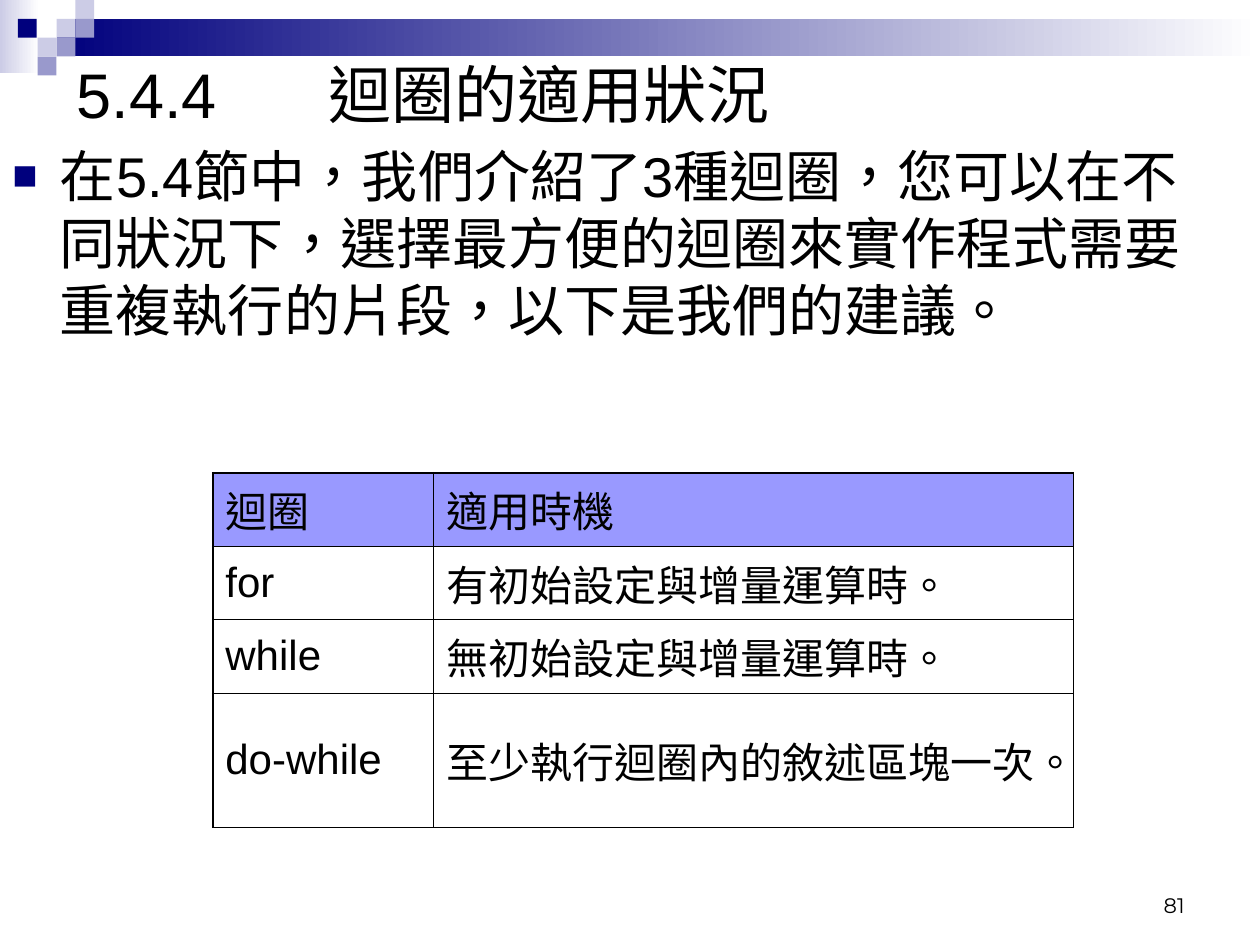
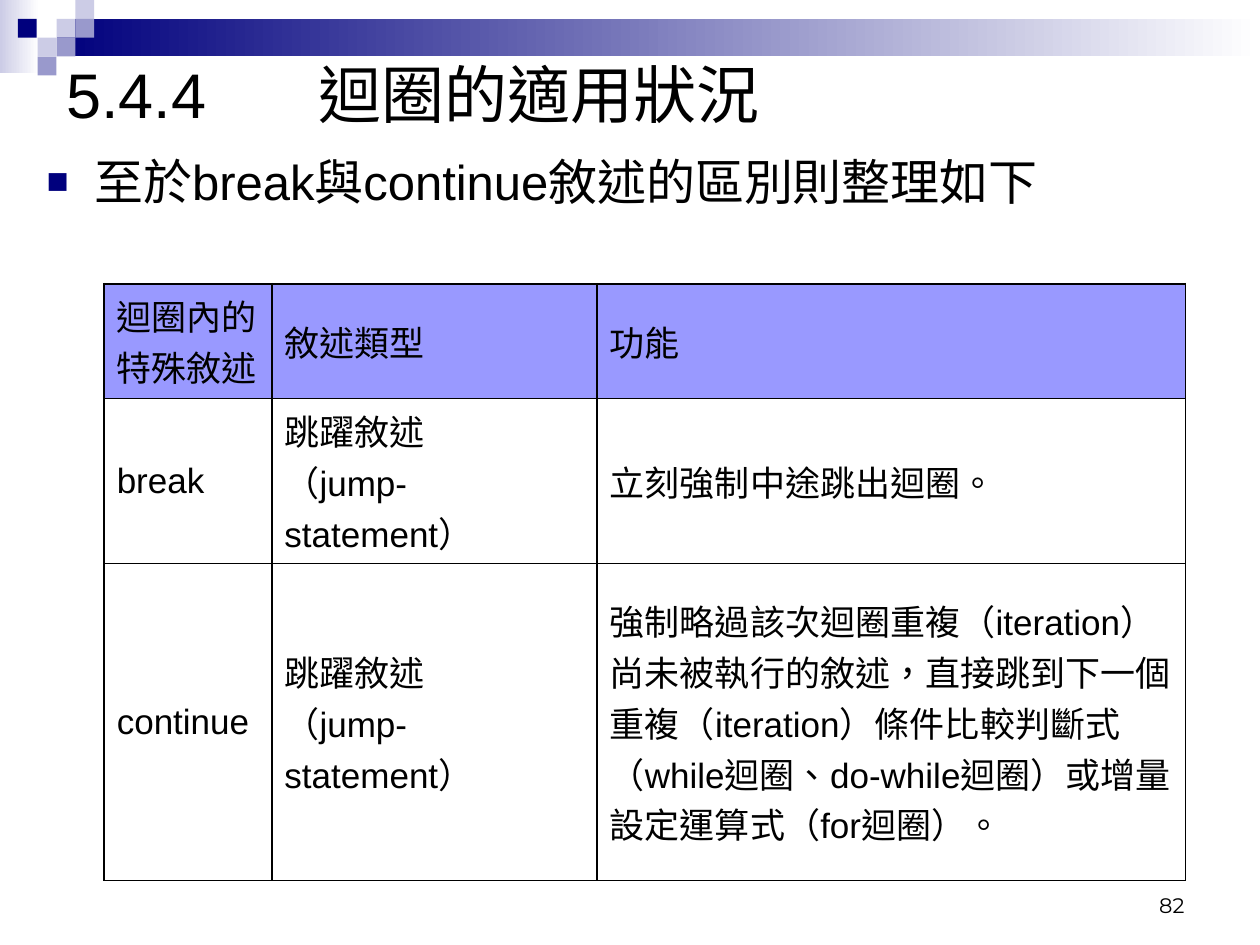
from lxml.etree import SubElement
from pptx import Presentation
from pptx.dml.color import RGBColor
from pptx.enum.shapes import MSO_SHAPE as Preset
from pptx.enum.text import MSO_ANCHOR as Anchor, PP_ALIGN as Align
from pptx.oxml import parse_xml
from pptx.oxml.ns import nsdecls, qn
from pptx.util import Cm, Pt

NAVY, LAVENDER, VIOLET = "00007D", "CCCCE6", "9999CC"
HEADER, BLACK, WHITE = "9999FF", "000000", "FFFFFF"
SQUARE = 0.38
SQUARES = [(3, 1, LAVENDER), (4, 0, LAVENDER), (4, 1, VIOLET), (2, 2, LAVENDER),
           (0.95, 1, NAVY), (3, 2, VIOLET), (2, 3, VIOLET)]
TITLE = "5.4.4\t迴圈的適用狀況"
JUMP = "跳躍敘述\v（jump-statement）"
LOOP_ROWS = [
    ("迴圈", "適用時機"),
    ("for", "有初始設定與增量運算時。"),
    ("while", "無初始設定與增量運算時。"),
    ("do-while", "至少執行迴圈內的敘述區塊一次。"),
]
JUMP_ROWS = [
    ("迴圈內的特殊敘述", "敘述類型", "功能"),
    ("break", JUMP, "立刻強制中途跳出迴圈。"),
    ("continue", JUMP,
     "強制略過該次迴圈重複（iteration）尚未被執行的敘述，直接跳到下一個重複（iteration）"
     "條件比較判斷式（while迴圈、do-while迴圈）或增量設定運算式（for迴圈）。"),
]


def color(code):
    """Turn a hex string into a colour."""
    return RGBColor.from_string(code)


def style_text(frame, size, font="Arial", anchor=Anchor.TOP):
    """Wrap a text frame and format all its runs."""
    frame.word_wrap = True
    frame.vertical_anchor = anchor
    frame.margin_left = frame.margin_right = Cm(0.25)
    frame.margin_top = frame.margin_bottom = Cm(0.13)
    for para in frame.paragraphs:
        for span in para.runs:
            span.font.size = Pt(size)
            span.font.name = font
            span.font.color.rgb = color(BLACK)
            span._r.get_or_add_rPr().set("lang", "zh-TW")


def add_rectangle(page, left, top, width, height):
    """Add a rectangle without line or shadow and return its fill."""
    box = page.shapes.add_shape(Preset.RECTANGLE, Cm(left), Cm(top), Cm(width), Cm(height))
    box.shadow.inherit = False
    box.line.fill.background()
    return box.fill


def add_band(page):
    """Draw the gradient band and the corner mosaic."""
    bands = [(0, 0, 0.79, 1.47, LAVENDER), (1.14, SQUARE, 24.26, 0.76, NAVY)]
    for left, top, width, height, shade in bands:
        fill = add_rectangle(page, left, top, width, height)
        fill.gradient()
        fill.gradient_angle = 180
        for stop, code in zip(fill.gradient_stops, (WHITE, shade)):
            stop.color.rgb = color(code)
    for column, row, shade in SQUARES:
        fill = add_rectangle(page, column * SQUARE, row * SQUARE, SQUARE, SQUARE)
        fill.solid()
        fill.fore_color.rgb = color(shade)


def place_title(page, left):
    """Set the section title, with a tab stop after its number."""
    title = page.shapes.title
    title.element.getparent().append(title.element)
    title.left, title.top, title.width, title.height = Cm(left), Cm(0.53), Cm(22.86), Cm(2.72)
    title.text_frame.text = TITLE
    para = title.text_frame.paragraphs[0]
    para.alignment = Align.LEFT
    tabs = SubElement(para._p.get_or_add_pPr(), qn("a:tabLst"))
    SubElement(tabs, qn("a:tab"), pos=str(Cm(5.08)), algn="l")
    style_text(title.text_frame, 36, anchor=Anchor.MIDDLE)


def add_bullet(page, text, left, top, width, height, size):
    """Add a paragraph with a square navy bullet."""
    box = page.shapes.add_textbox(Cm(left), Cm(top), Cm(width), Cm(height))
    box.text_frame.text = text
    props = box.text_frame.paragraphs[0]._p.get_or_add_pPr()
    props.set("marL", str(Cm(0.96)))
    props.set("indent", str(-Cm(0.96)))
    shade = SubElement(props, qn("a:buClr"))
    SubElement(shade, qn("a:srgbClr"), val=NAVY)
    SubElement(props, qn("a:buSzPct"), val="75000")
    SubElement(props, qn("a:buFont"), typeface="Arial")
    SubElement(props, qn("a:buChar"), char="■")
    style_text(box.text_frame, size)


def add_borders(cell, top, bottom):
    """Rule a cell, with its own widths above and below."""
    props = cell._tc.get_or_add_tcPr()
    widths = {"lnL": 1.08, "lnR": 1.08, "lnT": top, "lnB": bottom}
    for index, (side, width) in enumerate(widths.items()):
        props.insert(index, parse_xml(
            f'<a:{side} {nsdecls("a")} w="{Pt(width)}"><a:solidFill>'
            f'<a:srgbClr val="{BLACK}"/></a:solidFill></a:{side}>'))


def add_grid(page, rows, left, top, widths, heights, size):
    """Add a ruled table with a tinted header row."""
    frame = page.shapes.add_table(len(rows), len(widths), Cm(left), Cm(top),
                                  Cm(sum(widths)), Cm(sum(heights)))
    table = frame.table
    table.first_row = table.horz_banding = False
    for column, width in zip(table.columns, widths):
        column.width = Cm(width)
    last = len(rows) - 1
    for index, (values, height) in enumerate(zip(rows, heights)):
        table.rows[index].height = Cm(height)
        for cell, value in zip(table.rows[index].cells, values):
            cell.text = value
            style_text(cell.text_frame, size)
            cell.vertical_anchor = Anchor.MIDDLE
            cell.fill.solid()
            cell.fill.fore_color.rgb = color(WHITE if index else HEADER)
            add_borders(cell, 0.45 if index else 1.08, 1.08 if index == last else 0.45)


def add_number(page, number):
    """Add the page number at the lower right."""
    box = page.shapes.add_textbox(Cm(18.21), Cm(17.36), Cm(5.92), Cm(1.27))
    box.text_frame.text = str(number)
    box.text_frame.paragraphs[0].alignment = Align.RIGHT
    style_text(box.text_frame, 12, "Montserrat", Anchor.BOTTOM)


def add_page(deck, number, title_left, bullet, grid):
    """Build one slide with a title, a bullet and a table."""
    page = deck.slides.add_slide(deck.slide_layouts[5])
    add_band(page)
    place_title(page, title_left)
    add_bullet(page, *bullet)
    add_grid(page, *grid)
    add_number(page, number)


def main():
    """Build and save the deck."""
    deck = Presentation()
    deck.slide_width, deck.slide_height = Cm(25.4), Cm(19.05)
    add_page(deck, 81, 1.3,
             ("在5.4節中，我們介紹了3種迴圈，您可以在不同狀況下，選擇最方便的迴圈來實作程式需要重複執行的片段，"
              "以下是我們的建議。", 0, 2.72, 24.31, 5.79, 32),
             (LOOP_ROWS, 4.29, 9.53, (4.45, 12.9), (1.48, 1.48, 1.48, 2.71), 24))
    add_page(deck, 82, 1.09,
             ("至於break與continue敘述的區別則整理如下", 0.69, 2.92, 22.86, 2.21, 28),
             (JUMP_ROWS, 2.1, 5.72, (3.38, 6.56, 11.86), (2.31, 3.33, 6.39), 20))
    deck.save("out.pptx")


if __name__ == "__main__":
    main()
